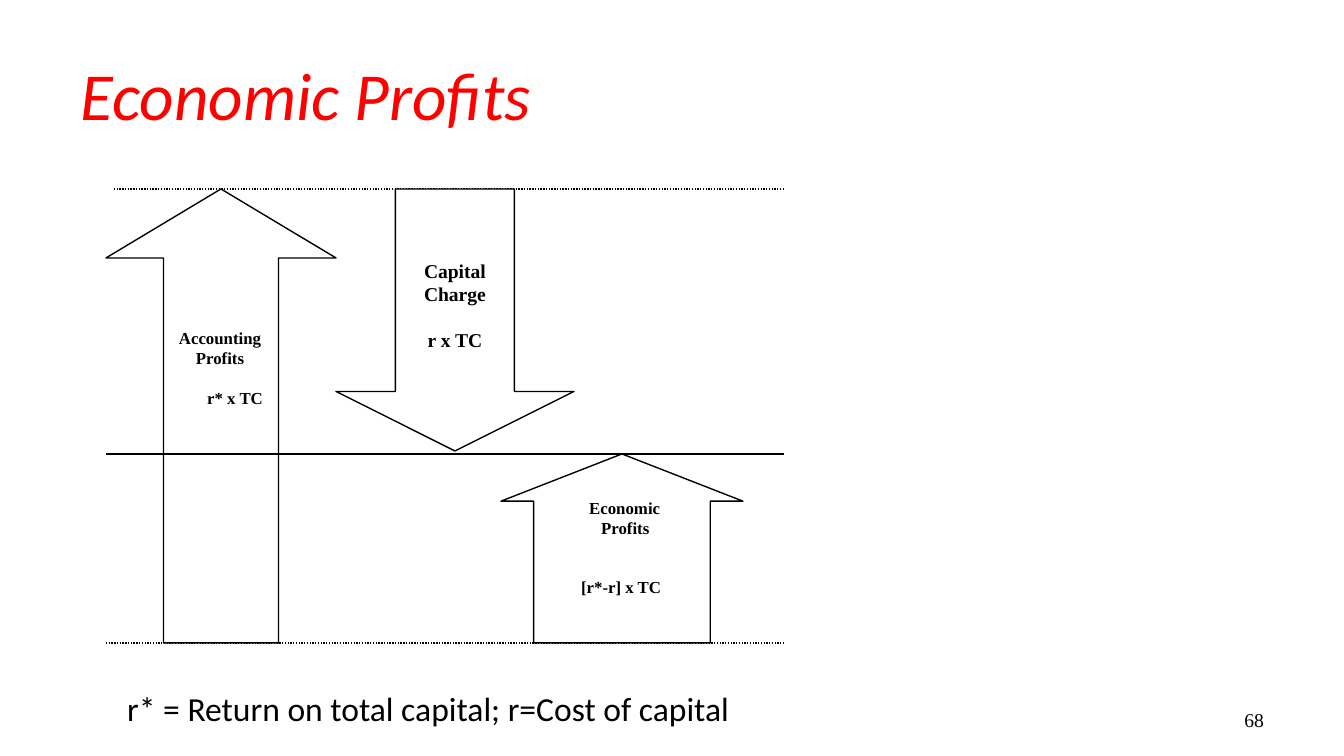
from pptx import Presentation
from pptx.dml.color import RGBColor
from pptx.enum.dml import MSO_LINE
from pptx.enum.shapes import MSO_CONNECTOR, MSO_SHAPE
from pptx.enum.text import MSO_ANCHOR, PP_ALIGN
from pptx.oxml.ns import qn
from pptx.util import Pt
from lxml import etree

EMU_PER_PX = 914400 / 134.4
RED = RGBColor(0xFF, 0x00, 0x00)
BLACK = RGBColor(0x00, 0x00, 0x00)
WHITE = RGBColor(0xFF, 0xFF, 0xFF)
SANS = "Calibri"
SERIF = "Times New Roman"


def px(length):
    return round(length * EMU_PER_PX)


class SlideBuilder:
    """Holds the line style and the slide being built."""

    line_width = Pt(0.75)

    def __init__(self, slide):
        self.slide = slide

    def add_lines(self, frame, lines, size, font=SERIF, color=BLACK,
                  bold=False, italic=False, align=PP_ALIGN.LEFT):
        """Each line is (text, indent in px, space before in points)."""
        for index, (text, indent, space) in enumerate(lines):
            paragraph = frame.paragraphs[0] if index == 0 else frame.add_paragraph()
            paragraph.alignment = align
            if indent:
                paragraph._p.get_or_add_pPr().set("marL", str(px(indent)))
            if space:
                paragraph.space_before = Pt(space)
            run = paragraph.add_run()
            run.text = text
            run.font.name = font
            run.font.size = Pt(size)
            run.font.bold = bold
            run.font.italic = italic
            run.font.color.rgb = color

    def title(self, text, left, top, width, height):
        shape = self.slide.shapes.title
        shape.left, shape.top = px(left), px(top)
        shape.width, shape.height = px(width), px(height)
        shape.text_frame.vertical_anchor = MSO_ANCHOR.MIDDLE
        self.add_lines(shape.text_frame, [(text, 0, 0)], 36, SANS, RED, italic=True)

    def text(self, lines, left, top, width, height, size,
             anchor=MSO_ANCHOR.TOP, wrap=True, **style):
        shape = self.slide.shapes.add_textbox(px(left), px(top), px(width), px(height))
        shape.text_frame.word_wrap = wrap
        shape.text_frame.vertical_anchor = anchor
        self.add_lines(shape.text_frame, lines, size, **style)

    def arrow(self, kind, left, top, width, height, shaft, head):
        shape = self.slide.shapes.add_shape(
            kind, px(left), px(top), px(width), px(height))
        shape.adjustments[0] = shaft
        shape.adjustments[1] = head
        shape.shadow.inherit = False
        shape.fill.solid()
        shape.fill.fore_color.rgb = WHITE
        shape.line.color.rgb = BLACK
        shape.line.width = self.line_width
        return shape

    def level(self, left, right, y, dash=None):
        connector = self.slide.shapes.add_connector(
            MSO_CONNECTOR.STRAIGHT, px(left), px(y), px(right), px(y))
        connector.line.color.rgb = BLACK
        connector.line.width = self.line_width
        if dash:
            connector.line.dash_style = dash
        etree.SubElement(connector._element.spPr, qn("a:effectLst"))


def main():
    presentation = Presentation()
    presentation.slide_width, presentation.slide_height = px(1344), px(756)
    builder = SlideBuilder(presentation.slides.add_slide(presentation.slide_layouts[5]))

    # Title and slide number
    builder.title("Economic Profits", 67, 31, 1210, 126)
    builder.text([("68", 0, 0)], 964, 700, 313, 40, 10.5,
                 anchor=MSO_ANCHOR.MIDDLE, align=PP_ALIGN.RIGHT)

    # Profit arrows between three levels
    top, middle, bottom, right = 189, 454, 643, 784
    builder.level(114, right, top, MSO_LINE.ROUND_DOT)
    builder.arrow(MSO_SHAPE.UP_ARROW, 106, top, 230, bottom - top, 0.5, 0.3)
    capital = builder.arrow(MSO_SHAPE.DOWN_ARROW, 336, top, 238, 262, 0.5, 0.25)
    builder.arrow(MSO_SHAPE.UP_ARROW, 501, middle, 242, bottom - middle, 0.73, 0.25)

    # Arrow labels
    capital.text_frame.word_wrap = False
    capital.text_frame.vertical_anchor = MSO_ANCHOR.MIDDLE
    builder.add_lines(capital.text_frame,
                      [("Capital", 0, 0), ("Charge", 0, 0), ("r x TC", 0, 12)],
                      10.5, bold=True, align=PP_ALIGN.CENTER)
    builder.text([("Accounting", 0, 0), ("Profits", 0, 0), ("r* x TC", 30, 10.5)],
                 157, 321, 126, 96, 9, bold=True, align=PP_ALIGN.CENTER)
    builder.text([("Economic", 34, 0), ("Profits", 46, 0), ("[r*-r] x TC", 26, 21)],
                 542, 491, 200, 116, 9, bold=True)

    # Lower levels
    builder.level(106, right, bottom, MSO_LINE.ROUND_DOT)
    builder.level(106, right, middle)

    # Legend
    builder.text([("r* = Return on total capital; r=Cost of capital", 0, 0)],
                 114, 681, 637, 54, 18, wrap=False, font=SANS)

    presentation.save("out.pptx")


if __name__ == "__main__":
    main()
